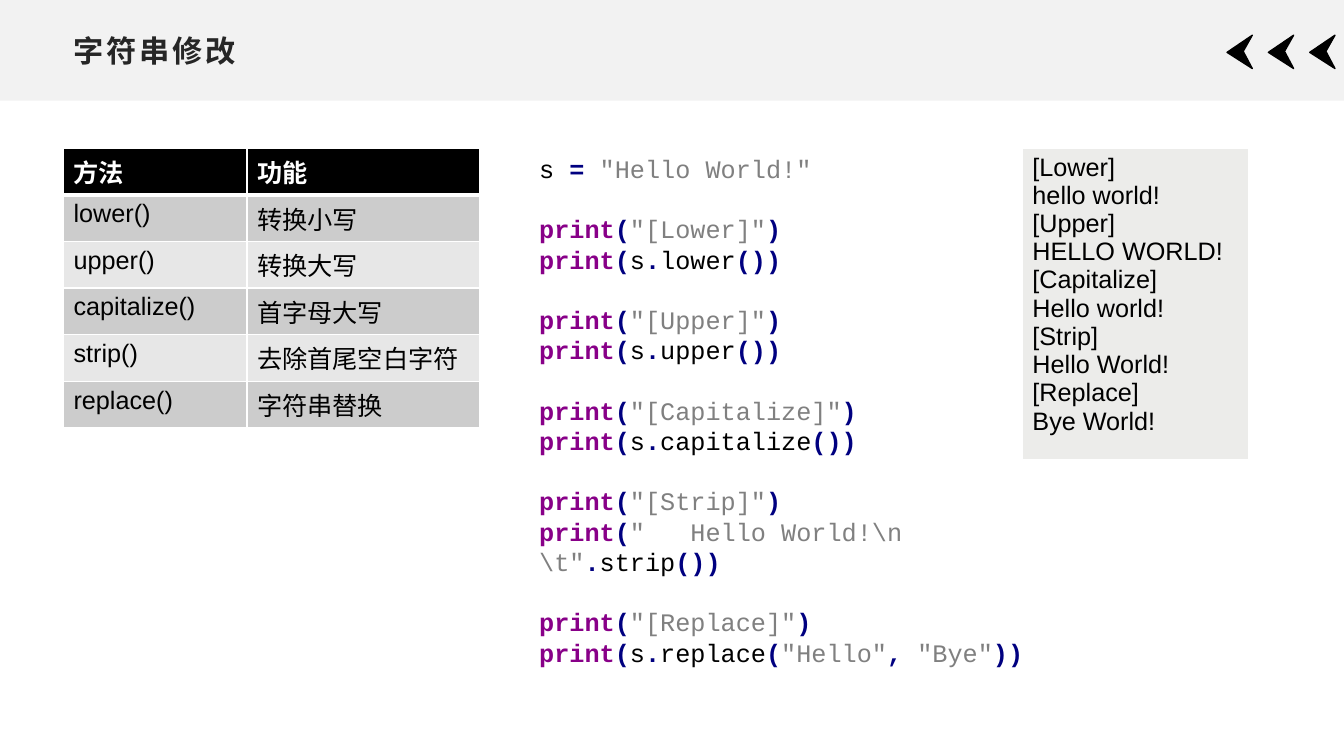
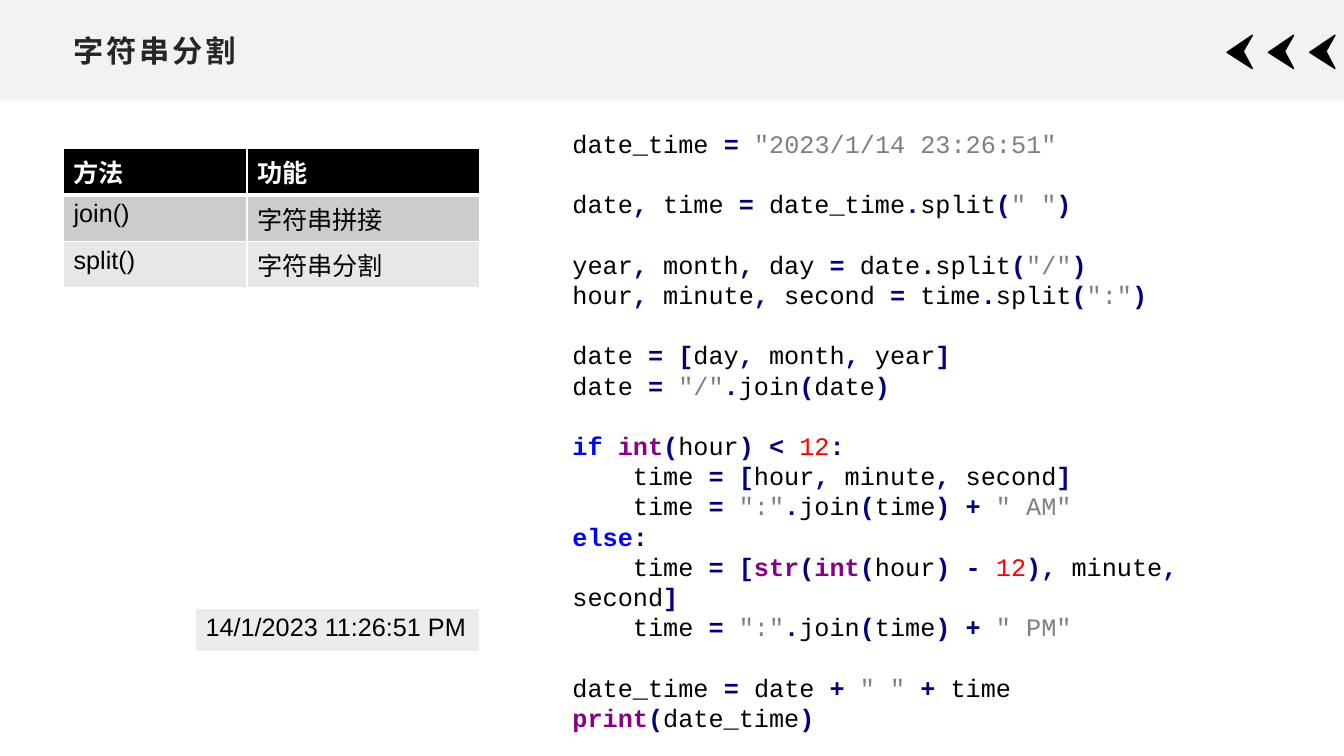
from dataclasses import dataclass
from itertools import groupby

from lxml import etree
from pptx import Presentation
from pptx import util as u
from pptx.dml.color import RGBColor
from pptx.enum import shapes, text
from pptx.oxml.ns import qn

Inches, Pt = u.Inches, u.Pt


@dataclass(frozen=True)
class Theme:
    sans: str = "Arial"
    mono: str = "Courier New"
    title_size: float = 21.6
    body_size: float = 18
    code_leading: float = 21.6
    band: str = "F2F2F2"
    title: str = "262626"
    ink: str = "000000"
    paper: str = "FFFFFF"
    dark_row: str = "CCCCCC"
    light_row: str = "E7E7E7"
    output: str = "ECECEA"
    operator: str = "000080"
    builtin: str = "880088"
    keyword: str = "0000FF"
    string: str = "808080"
    number: str = "FF0000"


THEME = Theme()
KEYWORDS = {"if", "else"}
BUILTINS = {"print", "int", "str"}
BOLD_ROLES = {"operator", "builtin", "keyword"}
HEADER = ("方法", "功能")
METHOD_COLUMNS = (1.82, 2.31)
ROW_HEIGHT = 0.41
LEFT, TOP = 0.63, 1.47
CHAR_WIDTH = 0.15

PAGES = [
    {
        "title": "字符串修改",
        "methods": [
            ("lower()", "转换小写"),
            ("upper()", "转换大写"),
            ("capitalize()", "首字母大写"),
            ("strip()", "去除首尾空白字符"),
            ("replace()", "字符串替换"),
        ],
        "code_at": (5.25, 1.47, 5.36, 4.95),
        "code": r'''s = "Hello World!"

print("[Lower]")
print(s.lower())

print("[Upper]")
print(s.upper())

print("[Capitalize]")
print(s.capitalize())

print("[Strip]")
print("   Hello World!\n \t".strip())

print("[Replace]")
print(s.replace("Hello", "Bye"))''',
        "output_at": (10.14, 1.47, 2.24, 3.1),
        "output": [
            "[Lower]", "hello world!",
            "[Upper]", "HELLO WORLD!",
            "[Capitalize]", "Hello world!",
            "[Strip]", "Hello World!",
            "[Replace]", "Bye World!",
        ],
    },
    {
        "title": "字符串分割",
        "methods": [("join()", "字符串拼接"), ("split()", "字符串分割")],
        "code_at": (5.58, 1.22, 7.04, 5.86),
        "code": r'''date_time = "2023/1/14 23:26:51"

date, time = date_time.split(" ")

year, month, day = date.split("/")
hour, minute, second = time.split(":")

date = [day, month, year]
date = "/".join(date)

if int(hour) < 12:
    time = [hour, minute, second]
    time = ":".join(time) + " AM"
else:
    time = [str(int(hour) - 12), minute, second]
    time = ":".join(time) + " PM"

date_time = date + " " + time
print(date_time)''',
        "output_at": (1.94, 6.04, 2.82, 0.44),
        "output": ["14/1/2023 11:26:51 PM"],
    },
]


def rgb(value):
    return RGBColor.from_string(value)


def write(para, words, font=THEME.sans, size=THEME.body_size,
          color=THEME.ink, bold=False, spacing=None):
    span = para.add_run()
    span.text = words
    span.font.name = font
    span.font.size = Pt(size)
    span.font.bold = bold
    span.font.color.rgb = rgb(color)
    if spacing:
        span.font._element.set("spc", str(spacing * 100))


def next_para(frame, index):
    return frame.add_paragraph() if index else frame.paragraphs[0]


def paint(shape, fill):
    shape.shadow.inherit = False
    shape.fill.solid()
    shape.fill.fore_color.rgb = rgb(fill)


def decorate(layout, page, width):
    band = page.shapes.add_shape(
        shapes.MSO_SHAPE.RECTANGLE, 0, 0, width, Inches(1))
    paint(band, THEME.band)
    band.line.fill.background()
    parts = [band]
    for index in range(3):
        tip = 12.17 + 0.41 * index
        outline = [(tip + 0.25, 0.68), (tip, 0.52),
                   (tip + 0.25, 0.35), (tip + 0.16, 0.51)]
        points = [(Inches(x), Inches(y)) for x, y in outline]
        builder = page.shapes.build_freeform(*points[0])
        builder.add_line_segments(points[1:], close=True)
        arrow = builder.convert_to_shape()
        paint(arrow, THEME.ink)
        arrow.line.color.rgb = rgb(THEME.ink)
        arrow.line.width = Pt(1)
        parts.append(arrow)
    for position, part in enumerate(parts, start=2):
        layout.shapes.element.insert(position, part.element)


def add_title(page, words):
    title = page.shapes.title
    title.left, title.top = Inches(LEFT), Inches(0.26)
    title.width, title.height = Inches(12.07), Inches(0.48)
    frame = title.text_frame
    frame.vertical_anchor = text.MSO_ANCHOR.MIDDLE
    para = frame.paragraphs[0]
    para.alignment = text.PP_ALIGN.LEFT
    write(para, words, size=THEME.title_size, color=THEME.title,
          bold=True, spacing=2)


def style_cell(cell, fill, bottom=1):
    props = cell._tc.get_or_add_tcPr()
    for side, width in (("L", 1), ("R", 1), ("T", 1), ("B", bottom)):
        line = etree.SubElement(props, qn(f"a:ln{side}"), w=str(Pt(width)))
        solid = etree.SubElement(line, qn("a:solidFill"))
        etree.SubElement(solid, qn("a:srgbClr"), val=THEME.paper)
    cell.fill.solid()
    cell.fill.fore_color.rgb = rgb(fill)


def add_methods(page, methods):
    rows = [HEADER, *methods]
    table = page.shapes.add_table(
        len(rows), len(HEADER), Inches(LEFT), Inches(TOP),
        Inches(sum(METHOD_COLUMNS)), Inches(ROW_HEIGHT * len(rows))).table
    for column, width in zip(table.columns, METHOD_COLUMNS):
        column.width = Inches(width)
    for r, row in enumerate(rows):
        header = r == 0
        band = THEME.dark_row if r % 2 else THEME.light_row
        for c, words in enumerate(row):
            cell = table.cell(r, c)
            style_cell(cell, THEME.ink if header else band,
                       bottom=3 if header else 1)
            write(cell.text_frame.paragraphs[0], words, bold=header,
                  color=THEME.paper if header else THEME.ink)


def add_output(page, place, lines):
    table = page.shapes.add_table(1, 1, *map(Inches, place)).table
    cell = table.cell(0, 0)
    style_cell(cell, THEME.output, bottom=3)
    for index, line in enumerate(lines):
        write(next_para(cell.text_frame, index), line)


def tokens(line):
    roles, quoted = [], False
    for char in line:
        if char == '"':
            quoted = not quoted
            roles.append("string")
        elif quoted:
            roles.append("string")
        elif char.isalnum() or char == "_":
            roles.append("word")
        else:
            roles.append("ink" if char == " " else "operator")
    for role, group in groupby(zip(roles, line), key=lambda pair: pair[0]):
        words = "".join(char for _, char in group)
        if role == "word":
            role = ("keyword" if words in KEYWORDS
                    else "builtin" if words in BUILTINS
                    else "number" if words.isdigit() else "ink")
        yield role, words


def add_code(page, place, code):
    box = page.shapes.add_textbox(*map(Inches, place))
    frame = box.text_frame
    frame.word_wrap = True
    lines = [(line, start and number > 0)
             for number, block in enumerate(code.split("\n\n"))
             for line, start in zip(block.split("\n"), [True] + [False] * 9)]
    for index, (line, gap) in enumerate(lines):
        para = next_para(frame, index)
        para.line_spacing = Pt(THEME.code_leading)
        para.space_before = Pt(THEME.code_leading if gap else 0)
        body = line.lstrip()
        depth = len(line) - len(body)
        if depth:
            props = para._p.get_or_add_pPr()
            props.set("marL", "0")
            props.set("indent", str(Inches(CHAR_WIDTH * depth)))
        for role, words in tokens(body):
            write(para, words, font=THEME.mono, color=getattr(THEME, role),
                  bold=role in BOLD_ROLES)


def main():
    deck = Presentation()
    deck.slide_width, deck.slide_height = Inches(13.33), Inches(7.5)
    layout = deck.slide_layouts.get_by_name("Title Only")
    for index, content in enumerate(PAGES):
        page = deck.slides.add_slide(layout)
        if index == 0:
            decorate(layout, page, deck.slide_width)
        add_title(page, content["title"])
        add_methods(page, content["methods"])
        add_code(page, content["code_at"], content["code"])
        add_output(page, content["output_at"], content["output"])
    deck.save("out.pptx")


if __name__ == "__main__":
    main()
